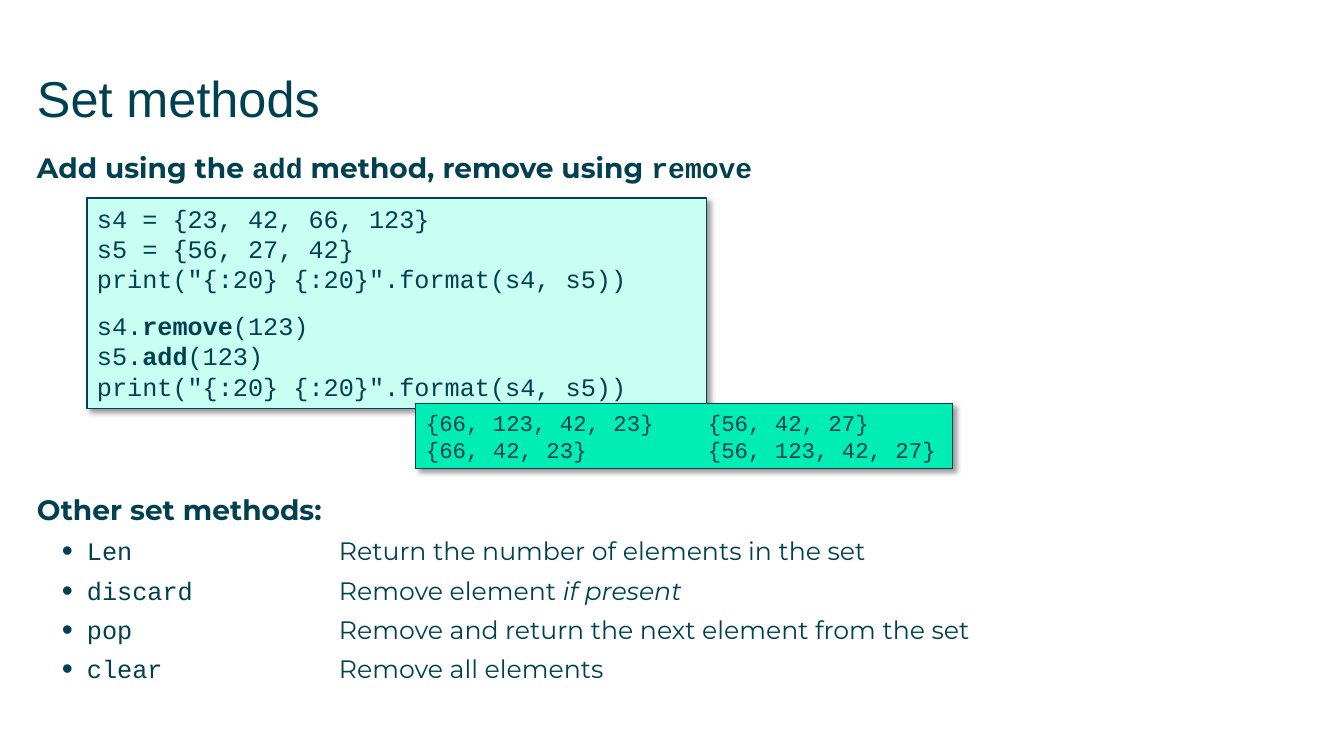
from lxml.etree import SubElement as Sub
from pptx import Presentation as Deck
from pptx.dml.color import RGBColor as Color
from pptx.enum.shapes import MSO_SHAPE as Form
from pptx.enum.text import MSO_ANCHOR as Anchor, PP_ALIGN as Align
from pptx.oxml.ns import qn
from pptx.util import Emu, Pt

SCALE = 914400 / 100.8
INK, MINT, GREEN = "004050", "C8FFF2", "00EDB5"
SANS, MONO, HEAD = "Montserrat", "Courier New", "Arial"


def px(size):
    return Emu(round(size * SCALE))


def tint(code):
    return Color.from_string(code)


class Page:
    def __init__(self, deck):
        self.slide = deck.slides.add_slide(deck.slide_layouts[5])
        self.shapes = self.slide.shapes

    def run(self, para, text, size, face=SANS, bold=False, slant=False):
        run = para.add_run()
        run.text = text
        font = run.font
        font.size, font.name = Pt(size), face
        font.bold, font.italic = bold, slant
        font.color.rgb = tint(INK)

    def tab(self, para, stop):
        tabs = Sub(para._p.get_or_add_pPr(), qn("a:tabLst"))
        Sub(tabs, qn("a:tab"), pos=str(px(stop)), algn="l")

    def dot(self, para):
        props = para._p.get_or_add_pPr()
        props.set("marL", str(px(50)))
        props.set("indent", str(px(-25)))
        Sub(props, qn("a:buSzPct"), val="125000")
        Sub(props, qn("a:buFont"), typeface=HEAD)
        Sub(props, qn("a:buChar"), char="•")

    def line(self, frame, first):
        para = frame.paragraphs[0] if first else frame.add_paragraph()
        para.alignment = Align.LEFT
        return para

    def flush(self, frame, top=0):
        frame.word_wrap = True
        frame.vertical_anchor = Anchor.TOP
        frame.margin_left = frame.margin_right = frame.margin_bottom = 0
        frame.margin_top = px(top)

    def title(self, text, x, y, w, h):
        shape = self.shapes.title
        shape.left, shape.top, shape.width, shape.height = map(px, (x, y, w, h))
        frame = shape.text_frame
        self.flush(frame, 6)
        self.run(self.line(frame, True), text, 36, HEAD)

    def text(self, x, y, w, h, parts, items=()):
        frame = self.shapes.add_textbox(*map(px, (x, y, w, h))).text_frame
        self.flush(frame)
        para = self.line(frame, True)
        para.space_after = Pt(6.5)
        for text, face in parts:
            self.run(para, text, 20, face, bold=True)
        for name, note, stress in items:
            para = self.line(frame, False)
            para.space_after = Pt(6.5)
            self.dot(para)
            self.tab(para, 302)
            self.run(para, name, 18, MONO)
            self.run(para, "\t" + note, 18)
            if stress:
                self.run(para, stress, 18, slant=True)

    def panel(self, x, y, w, h, fill, size, blocks, wrap=True, stop=None):
        shape = self.shapes.add_shape(Form.RECTANGLE, *map(px, (x, y, w, h)))
        shape.fill.solid()
        shape.fill.fore_color.rgb = tint(fill)
        shape.line.color.rgb = tint(INK)
        shape.line.width = Pt(0.75)
        self.shade(shape)
        frame = shape.text_frame
        frame.word_wrap = wrap
        frame.vertical_anchor = Anchor.TOP
        for i, block in enumerate(blocks):
            for j, parts in enumerate(block):
                para = self.line(frame, i == j == 0)
                if i and not j:
                    para.space_before = Pt(12)
                if stop:
                    self.tab(para, stop)
                for k, text in enumerate(parts):
                    self.run(para, text, size, MONO, bold=k == 1)

    def shade(self, shape):
        shape.shadow.inherit = False
        effects = shape._element.spPr.find(qn("a:effectLst"))
        outer = Sub(effects, qn("a:outerShdw"), blurRad=str(Pt(4)),
                    dist=str(Pt(3)), dir="2700000", algn="tl", rotWithShape="0")
        black = Sub(outer, qn("a:srgbClr"), val="000000")
        Sub(black, qn("a:alpha"), val="40000")


def main():
    deck = Deck()
    deck.slide_width, deck.slide_height = px(1344), px(756)
    page = Page(deck)
    page.title("Set methods", 37, 61, 1270, 89)
    page.text(37, 151, 1269, 40, [
        ("Add using the ", SANS), ("add", MONO),
        (" method, remove using ", SANS), ("remove", MONO)])
    page.text(37, 493, 1269, 205, [("Other set methods:", SANS)], [
        ("Len", "Return the number of elements in the set", ""),
        ("discard", "Remove element ", "if present"),
        ("pop", "Remove and return the next element from the set", ""),
        ("clear", "Remove all elements", "")])
    show = ['print("{:20} {:20}".format(s4, s5))']
    page.panel(87, 198, 620, 211, MINT, 18, [
        [["s4 = {23, 42, 66, 123}"], ["s5 = {56, 27, 42}"], show],
        [["s4.", "remove", "(123)"], ["s5.", "add", "(123)"], show]])
    page.panel(416, 404, 537, 65, GREEN, 16, [
        [["{66, 123, 42, 23}\t{56, 42, 27}"],
         ["{66, 42, 23}\t{56, 123, 42, 27}"]]], wrap=False, stop=282)
    deck.save("out.pptx")


if __name__ == "__main__":
    main()
